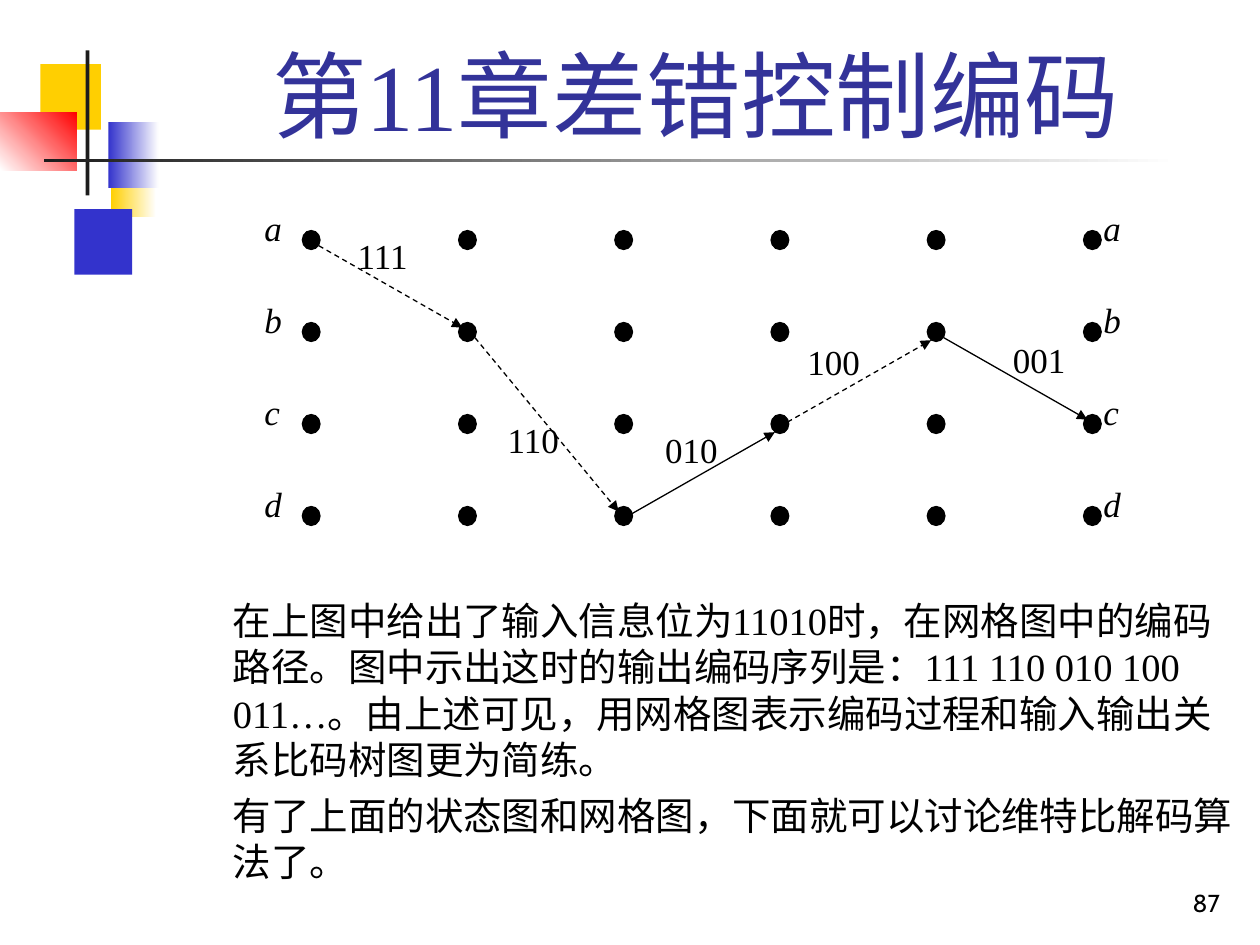
import pptx
import pptx.util
import pptx.dml.color
import pptx.enum.dml
import pptx.enum.shapes
import pptx.enum.text
from lxml import etree

Inches, Pt = pptx.util.Inches, pptx.util.Pt
Shape = pptx.enum.shapes.MSO_SHAPE
Align = pptx.enum.text.PP_ALIGN
Anchor = pptx.enum.text.MSO_ANCHOR


def hue(code):
    return pptx.dml.color.RGBColor.from_string(code)


def write(box, lines, size, font="Times New Roman", color="000000",
          align=Align.LEFT, anchor=Anchor.TOP, slant=False, gap=0):
    """Add a text box at (left, top, width, height) with one paragraph a line."""
    frame = slide.shapes.add_textbox(*map(Inches, box)).text_frame
    frame.word_wrap = True
    frame.vertical_anchor = anchor
    frame.text = "\n".join(lines)
    for para in frame.paragraphs:
        para.alignment = align
        para.space_before = Pt(gap)
        para.font.size = Pt(size)
        para.font.name = font
        para.font.italic = slant
        para.font.color.rgb = hue(color)


deck = pptx.Presentation()
deck.slide_width, deck.slide_height = Inches(10), Inches(7.5)
slide = deck.slides.add_slide(deck.slide_layouts[6])

# Corner ornament: box, first colour, last colour, angle
blocks = [
    ((0.88, 1.2, 0.36, 0.52), "FFCF01", "FFFFFF", 0),
    ((0.59, 1.66, 0.46, 0.52), "3333CC", None, 0),
    ((0.32, 0.51, 0.48, 0.52), "FFCF01", None, 0),
    ((0.86, 0.97, 0.4, 0.52), "3333CC", "FFFFFF", 0),
    ((0, 0.89, 0.61, 0.46), "FFFFFF", "FF0000", 45),
    ((0.68, 0.4, 0.03, 1.15), "1C1C1C", None, 0),
    ((0.35, 1.26, 9, 0.03), "1C1C1C", "FFFFFF", 0),
]
for box, first, last, angle in blocks:
    block = slide.shapes.add_shape(Shape.RECTANGLE, *map(Inches, box))
    block.shadow.inherit = False
    block.line.fill.background()
    if last:
        block.fill.gradient()
        block.fill.gradient_angle = angle
        for stop, code in zip(block.fill.gradient_stops, (first, last)):
            stop.color.rgb = hue(code)
    else:
        block.fill.solid()
        block.fill.fore_color.rgb = hue(first)

write((7.7, 6.83, 2.08, 0.5), ["87"], 14, font="Cabin",
      align=Align.RIGHT, anchor=Anchor.BOTTOM)
write((1.26, 0.23, 8.52, 1.01), ["第11章差错控制编码"], 54, color="333399",
      align=Align.CENTER, anchor=Anchor.BOTTOM)
write((1.75, 4.69, 8.25, 2.81), [
    "在上图中给出了输入信息位为11010时，在网格图中的编码路径。"
    "图中示出这时的输出编码序列是：111 110 010 100 011…。"
    "由上述可见，用网格图表示编码过程和输入输出关系比码树图更为简练。",
    "有了上面的状态图和网格图，下面就可以讨论维特比解码算法了。",
], 22, gap=5.5)

# Trellis: six columns of four states
wide, high = 0.14, 0.15
cols = [2.4 + 1.24 * i for i in range(6)]
rows = [1.83 + 0.73 * i for i in range(4)]
for state, y in zip("abcd", rows):
    for x in cols:
        dot = slide.shapes.add_shape(
            Shape.OVAL, Inches(x), Inches(y), Inches(wide), Inches(high))
        dot.shadow.inherit = False
        dot.fill.solid()
        dot.fill.fore_color.rgb = hue("000000")
        dot.line.color.rgb = hue("000000")
        dot.line.width = Pt(0.75)
    for x in (cols[0] - 0.4, cols[-1] + 0.06):
        write((x, y - 0.24, 0.47, 0.51), [state], 20, slant=True)

# Path, one step a column: code, from row, to row, dashed, label place
steps = [
    ("111", 0, 1, True, (2.74, 1.81)),
    ("110", 1, 3, True, (3.93, 3.27)),
    ("010", 3, 2, False, (5.18, 3.35)),
    ("100", 2, 1, True, (6.31, 2.65)),
    ("001", 1, 2, False, (7.94, 2.64)),
]
for i, (code, start, end, dashed, place) in enumerate(steps):
    leave, reach = (0.12, 0.04) if end > start else (0.06, 0.14)
    edge = slide.shapes.add_connector(
        pptx.enum.shapes.MSO_CONNECTOR.STRAIGHT,
        Inches(cols[i] + 0.13), Inches(rows[start] + leave),
        Inches(cols[i + 1] + 0.03), Inches(rows[end] + reach))
    edge.line.color.rgb = hue("000000")
    edge.line.width = Pt(0.75)
    if dashed:
        edge.line.dash_style = pptx.enum.dml.MSO_LINE.DASH
    props = edge.line._get_or_add_ln()
    space = "{" + props.nsmap["a"] + "}"
    etree.SubElement(props, space + "tailEnd", type="triangle")
    etree.SubElement(props.getparent(), space + "effectLst")
    write((*place, 0.69, 0.51), [code], 20)

deck.save("out.pptx")
